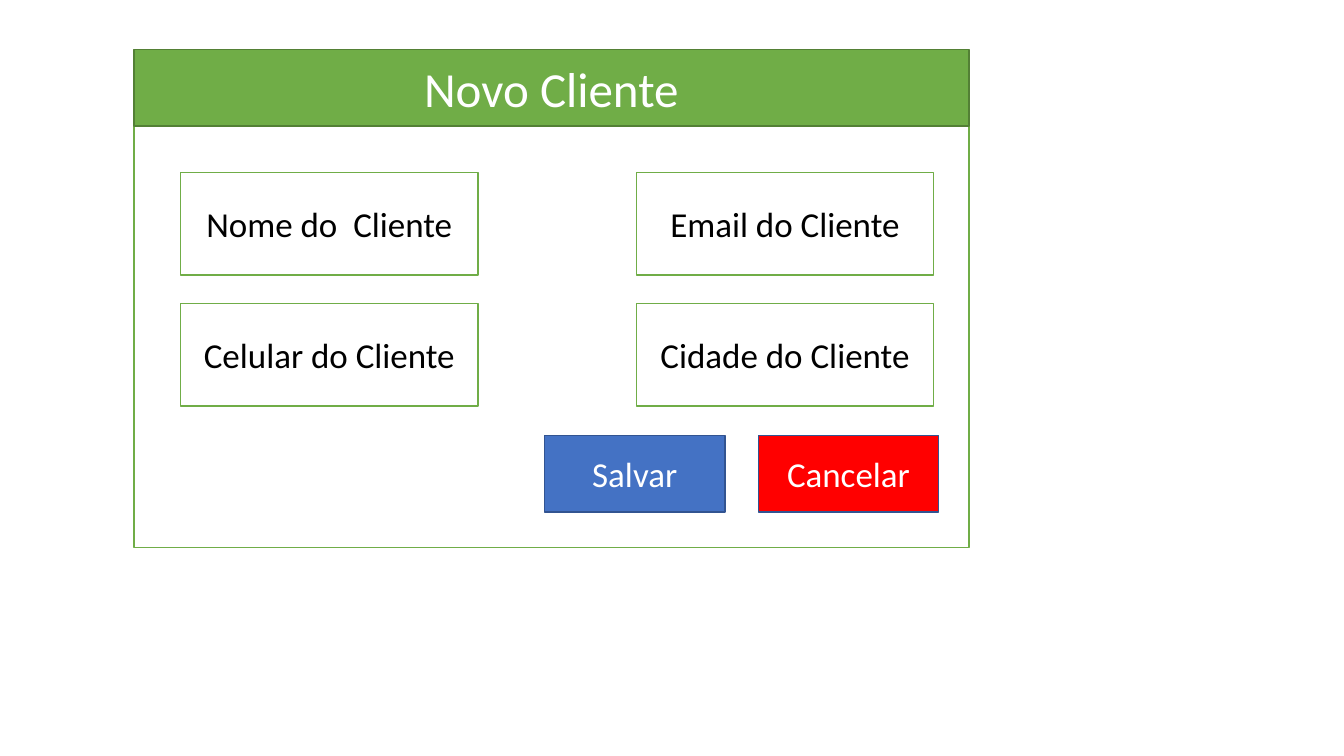
import pptx
import pptx.dml.color
import pptx.enum.shapes
import pptx.enum.text
import pptx.util

Inches = pptx.util.Inches
RGBColor = pptx.dml.color.RGBColor

WHITE = RGBColor(0xFF, 0xFF, 0xFF)
BLACK = RGBColor(0x00, 0x00, 0x00)
GREEN = RGBColor(0x70, 0xAD, 0x47)
DARK_GREEN = RGBColor(0x53, 0x80, 0x35)
BLUE = RGBColor(0x44, 0x72, 0xC4)
DARK_BLUE = RGBColor(0x32, 0x54, 0x91)
RED = RGBColor(0xFF, 0x00, 0x00)

FIELDS = [["Nome do  Cliente", "Email do Cliente"],
          ["Celular do Cliente", "Cidade do Cliente"]]
BUTTONS = [("Salvar", BLUE), ("Cancelar", RED)]


def paint(box, fill, line):
    """Give a box a solid fill and a thin outline."""
    box.fill.solid()
    box.fill.fore_color.rgb = fill
    box.line.color.rgb = line
    box.line.width = pptx.util.Pt(1)


def write(box, text, size=25, color=BLACK, font="Calibri"):
    """Write centred text in a box."""
    frame = box.text_frame
    frame.word_wrap = True
    frame.auto_size = pptx.enum.text.MSO_AUTO_SIZE.NONE
    frame.vertical_anchor = pptx.enum.text.MSO_ANCHOR.MIDDLE
    line = frame.paragraphs[0]
    line.alignment = pptx.enum.text.PP_ALIGN.CENTER
    line.line_spacing = 1.0
    line.space_before = pptx.util.Pt(0)
    run = line.add_run()
    run.text = text
    run.font.name = font
    run.font.size = pptx.util.Pt(size)
    run.font.color.rgb = color


def add_box(slide, left, top, width, height, fill, line):
    """Add a flat rectangle measured in inches."""
    box = slide.shapes.add_shape(
        pptx.enum.shapes.MSO_SHAPE.RECTANGLE,
        Inches(left), Inches(top), Inches(width), Inches(height))
    box.shadow.inherit = False
    paint(box, fill, line)
    return box


def add_header(slide, left, top, width, height):
    """Place the form's title bar."""
    header = slide.shapes.title
    header.left, header.top = Inches(left), Inches(top)
    header.width, header.height = Inches(width), Inches(height)
    paint(header, GREEN, DARK_GREEN)
    write(header, "Novo Cliente", size=35, color=WHITE)


def add_fields(slide, left, top, width, height):
    """Place the client fields in a grid that fills the given box."""
    field_width, field_height = 2.95, 1.02
    for row, labels in enumerate(FIELDS):
        for column, label in enumerate(labels):
            field = add_box(slide,
                            left + column * (width - field_width),
                            top + row * (height - field_height),
                            field_width, field_height, WHITE, GREEN)
            write(field, label)


def add_buttons(slide, left, top, width, height):
    """Place the buttons at both ends of the given box."""
    button_width = 1.79
    for column, (label, fill) in enumerate(BUTTONS):
        button = add_box(slide, left + column * (width - button_width), top,
                         button_width, height, fill, DARK_BLUE)
        write(button, label, color=WHITE)


def add_client_form(slide, left, top, width, height):
    """Build the client form inside the given box."""
    panel = add_box(slide, left, top, width, height, WHITE, GREEN)
    slide.shapes.title.element.addprevious(panel.element)
    add_header(slide, left, top - 0.01, width, 0.76)
    add_fields(slide, left + 0.46, top + 1.21, 7.47, 2.32)
    add_buttons(slide, left + 4.07, top + 3.82, 3.91, 0.76)


deck = pptx.Presentation()
deck.slide_width, deck.slide_height = Inches(13.33), Inches(7.5)
form_slide = deck.slides.add_slide(deck.slide_layouts.get_by_name("Title Only"))
add_client_form(form_slide, 1.33, 0.5, 8.28, 4.93)
deck.save("out.pptx")
